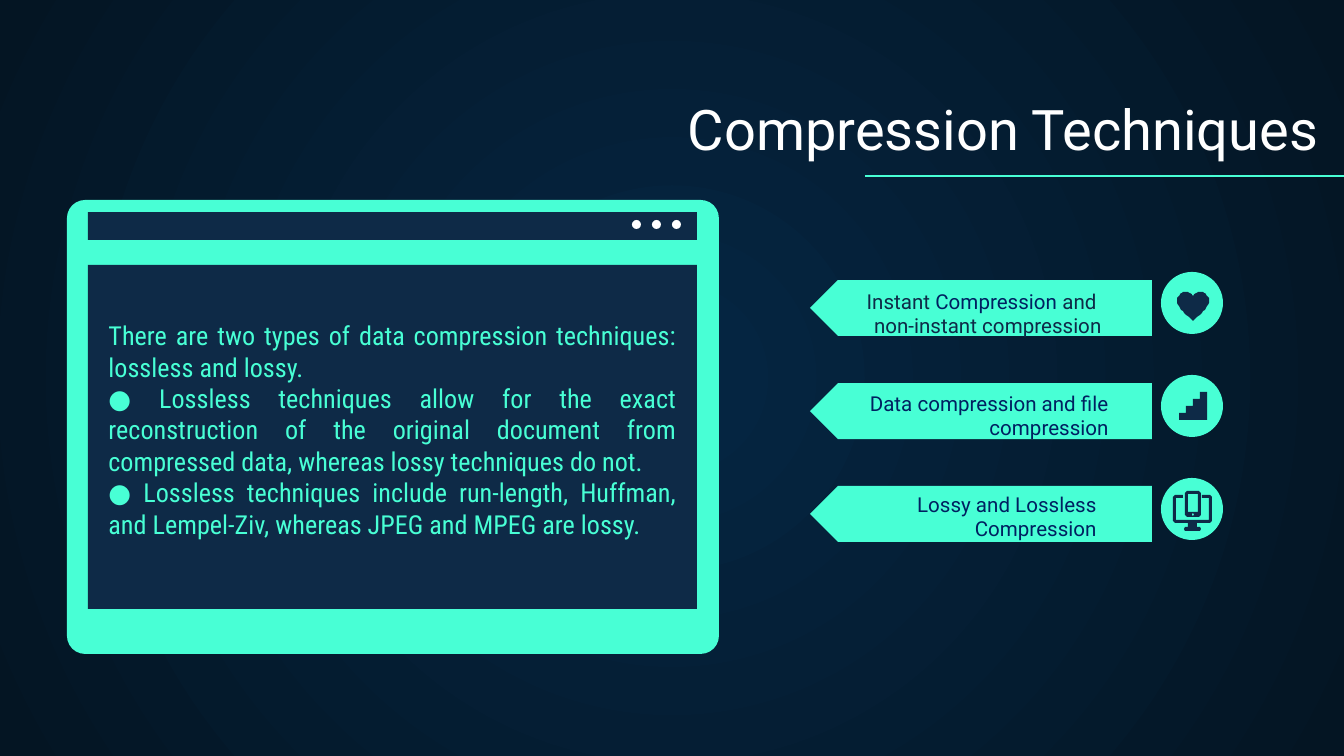
import pptx
import pptx.util
import pptx.dml.color
import pptx.enum.shapes
import pptx.enum.text
import pptx.oxml
import pptx.oxml.ns

RGBColor = pptx.dml.color.RGBColor
SHAPE = pptx.enum.shapes.MSO_SHAPE
ALIGN = pptx.enum.text.PP_ALIGN
ANCHOR = pptx.enum.text.MSO_ANCHOR

MINT = RGBColor(0x48, 0xFF, 0xD5)
NAVY = RGBColor(0x0E, 0x2A, 0x47)
BLUE = RGBColor(0x00, 0x20, 0x60)
WHITE = RGBColor(0xFF, 0xFF, 0xFF)
GLOW = RGBColor(0x05, 0x26, 0x43)
DARK = RGBColor(0x04, 0x15, 0x23)

SCALE = 914400 / 134.4  # EMU per px
ROW_PITCH = 103

# Label left, label top, runs of (text, colour)
LABELS = [
    (810, 323, [("Instant ", NAVY), ("Compression", BLUE),
                (" and \vnon-instant compression", NAVY)]),
    (817, 425, [("Data compression and file compression", BLUE)]),
    (805, 526, [("Lossy and Lossless Compression", BLUE)]),
]
BODY = [
    "There are two types of data compression techniques: lossless and lossy. ",
    "● Lossless techniques allow for the exact reconstruction of the original "
    "document from compressed data, whereas lossy techniques do not. ",
    "● Lossless techniques include run-length, Huffman, and Lempel-Ziv, "
    "whereas JPEG and MPEG are lossy. ",
]


def px(n):
    return pptx.util.Emu(round(n * SCALE))


def set_attrs(obj, values):
    for name, value in values.items():
        setattr(obj, name, value)


def paint(sp, color):
    sp.shadow.inherit = False
    sp.fill.solid()
    sp.fill.fore_color.rgb = color
    sp.line.fill.background()
    return sp


def add_preset(s, kind, box, color):
    return paint(s.shapes.add_shape(kind, *map(px, box)), color)


def add_outline(s, contours, color):
    first, *others = contours
    fb = s.shapes.build_freeform(*first[0], scale=SCALE)
    fb.add_line_segments(first[1:])
    for points in others:
        fb.move_to(*points[0])
        fb.add_line_segments(points[1:])
    return paint(fb.convert_to_shape(), color)


def curve(a, b, c, d, steps=10):
    """Points along a cubic Bezier from a to d."""
    return [tuple((1 - t) ** 3 * i + 3 * t * (1 - t) ** 2 * j
                  + 3 * t * t * (1 - t) * k + t ** 3 * m
                  for i, j, k, m in zip(a, b, c, d))
            for t in (n / steps for n in range(steps + 1))]


def cut_box(left, top, right, bottom, cut=0):
    """Rectangle outline with its corners cut off."""
    return [(left + cut, top), (right - cut, top), (right, top + cut),
            (right, bottom - cut), (right - cut, bottom),
            (left + cut, bottom), (left, bottom - cut), (left, top + cut)]


def fill_text(sp, box, paragraphs, frame, font, align):
    place = dict(zip(("left", "top", "width", "height"), map(px, box)))
    set_attrs(sp, place)
    tf = sp.text_frame
    set_attrs(tf, {"word_wrap": True, **frame})
    for i, runs in enumerate(paragraphs):
        p = tf.paragraphs[0] if i == 0 else tf.add_paragraph()
        p.alignment = align
        for text, color in runs:
            for j, part in enumerate(text.split("\v")):
                if j:
                    p.add_line_break()
                r = p.add_run()
                r.text = part
                set_attrs(r.font, font)
                r.font.color.rgb = color


def add_background(s):
    fill = s.background.fill
    fill.gradient()
    for stop, color, position in zip(fill.gradient_stops, (GLOW, DARK), (0, 1)):
        stop.color.rgb = color
        stop.position = position
    lin = next(s._element.iter(pptx.oxml.ns.qn("a:lin")))
    lin.getparent().replace(lin, pptx.oxml.parse_xml(
        '<a:path %s path="circle"><a:fillToRect l="50000" t="50000" '
        'r="50000" b="50000"/></a:path>' % pptx.oxml.ns.nsdecls("a")))


def add_rule(s):
    line = s.shapes.add_connector(pptx.enum.shapes.MSO_CONNECTOR.STRAIGHT,
                                  px(865), px(176), px(1356), px(176))
    line.line.color.rgb = MINT
    line.line.width = pptx.util.Pt(0.75)
    line._element.spPr.append(pptx.oxml.parse_xml(
        "<a:effectLst %s/>" % pptx.oxml.ns.nsdecls("a")))


def add_window(s):
    window = add_preset(s, SHAPE.ROUNDED_RECTANGLE, (67, 200, 652, 454), MINT)
    window.adjustments[0] = 0.04
    for top, height in ((265, 344), (212, 28)):
        add_preset(s, SHAPE.RECTANGLE, (88, top, 609, height), NAVY)
    for i in range(3):
        add_preset(s, SHAPE.OVAL, (632 + 20 * i, 220, 9, 9), WHITE)


def add_heart(s):
    half = (curve((1193, 296), (1191, 293), (1188, 292), (1185, 292))
            + curve((1185, 292), (1181, 292), (1177, 296), (1177, 301))
            + curve((1177, 301), (1177, 307), (1183, 312), (1191, 319))
            + [(1193, 321)])
    add_outline(s, [half + [(2386 - x, y) for x, y in reversed(half)]], NAVY)


def add_stairs(s):
    points = [(1207, 420), (1179, 420)]
    for i in range(4):
        points += [(1179 + 7 * i, 413 - 7 * i), (1186 + 7 * i, 413 - 7 * i)]
    add_outline(s, [points], NAVY)


def add_devices(s):
    half = [(1183, 495), (1175, 495), (1173, 497), (1173, 521), (1175, 523),
            (1188, 523), (1188, 527), (1185, 527), (1184, 529), (1185, 531)]
    inner = [(1176, 520), (1176, 498), (1183, 498)]
    mirror = [(2385 - x, y) for x, y in reversed(half)]
    inner_right = [(2385 - x, y) for x, y in reversed(inner)]
    monitor = add_outline(s, [half + mirror + inner_right + inner], NAVY)
    phone = add_outline(s, [cut_box(1185, 491, 1201, 517, 2),
                            cut_box(1188, 494, 1198, 512),
                            cut_box(1192, 513, 1194, 516, 1)], NAVY)
    s.shapes.add_group_shape([monitor, phone])


def add_rows(s):
    frame = {"vertical_anchor": ANCHOR.BOTTOM, "margin_top": px(13),
             "margin_bottom": px(13)}
    font = {"name": "Roboto", "size": pptx.util.Pt(11)}
    for i, (left, top, runs) in enumerate(LABELS):
        y = ROW_PITCH * i
        arrow = add_preset(s, SHAPE.PENTAGON, (810, 280 + y, 342, 56), MINT)
        arrow.rotation = 180
        add_preset(s, SHAPE.OVAL, (1161, 272 + y, 62, 62), MINT)
        box = (left, top, 305, 28)
        label = s.shapes.add_textbox(*map(px, box))
        fill_text(label, box, [runs], frame, font, ALIGN.RIGHT)


def main():
    prs = pptx.Presentation()
    set_attrs(prs, {"slide_width": px(1344), "slide_height": px(756)})
    s = prs.slides.add_slide(prs.slide_layouts[1])
    add_background(s)

    # Title and rule
    fill_text(s.shapes.title, (180, 86, 1152, 89),
              [[("Compression Techniques", WHITE)]],
              {"vertical_anchor": ANCHOR.BOTTOM, "margin_top": px(13),
               "margin_bottom": px(13),
               "auto_size": pptx.enum.text.MSO_AUTO_SIZE.NONE},
              {"name": "Roboto", "size": pptx.util.Pt(30)}, ALIGN.RIGHT)
    add_rule(s)

    # Arrow labels with icons
    add_rows(s)
    add_heart(s)
    add_stairs(s)
    add_devices(s)

    # Browser window; its text goes in front
    add_window(s)
    body = s.placeholders[1]
    fill_text(body, (95, 313, 595, 267), [[(text, MINT)] for text in BODY],
              {"auto_size": pptx.enum.text.MSO_AUTO_SIZE.NONE},
              {"name": "Roboto Condensed", "size": pptx.util.Pt(14)},
              ALIGN.JUSTIFY)
    for p in body.text_frame.paragraphs:
        p.space_before = pptx.util.Pt(0)
        pPr = p._p.get_or_add_pPr()
        pPr.set("marL", "0")
        pPr.set("indent", "0")
        pPr.append(pptx.oxml.parse_xml(
            "<a:buNone %s/>" % pptx.oxml.ns.nsdecls("a")))
    s.shapes._spTree.append(body._element)

    prs.save("out.pptx")


if __name__ == "__main__":
    main()
